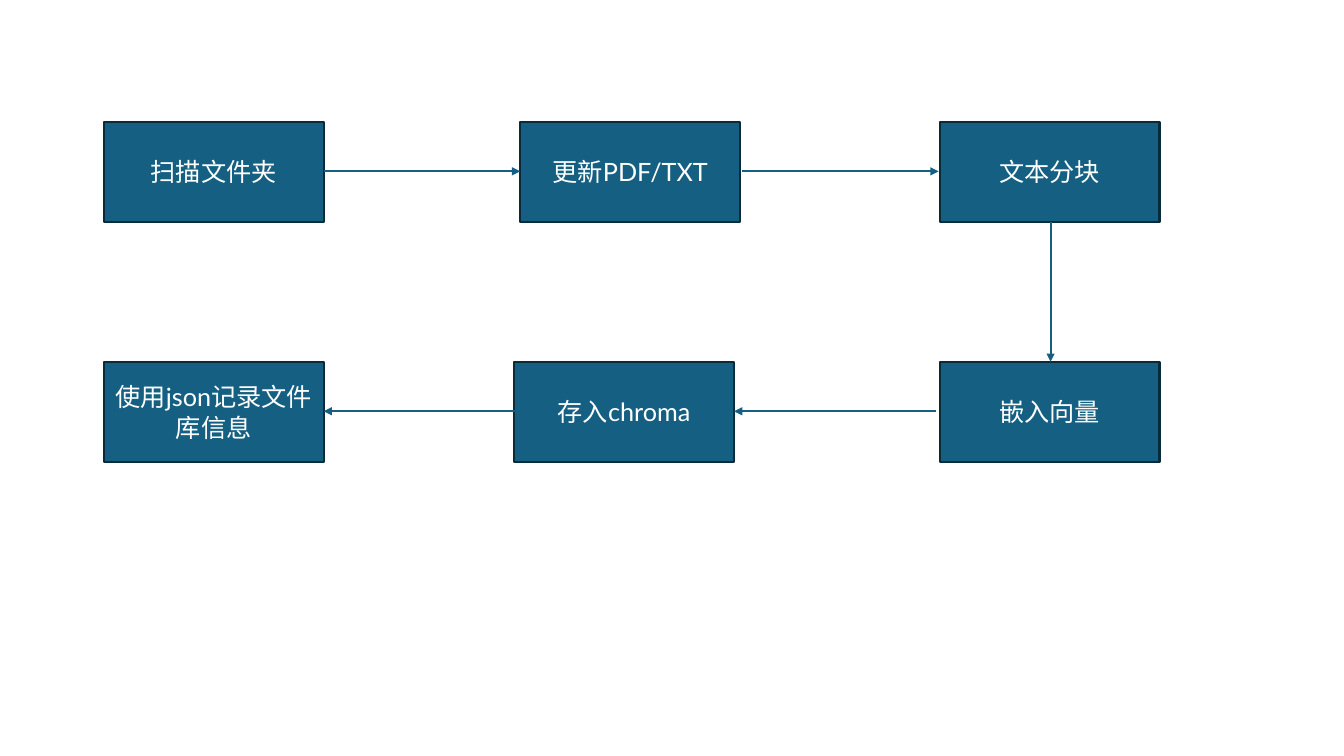
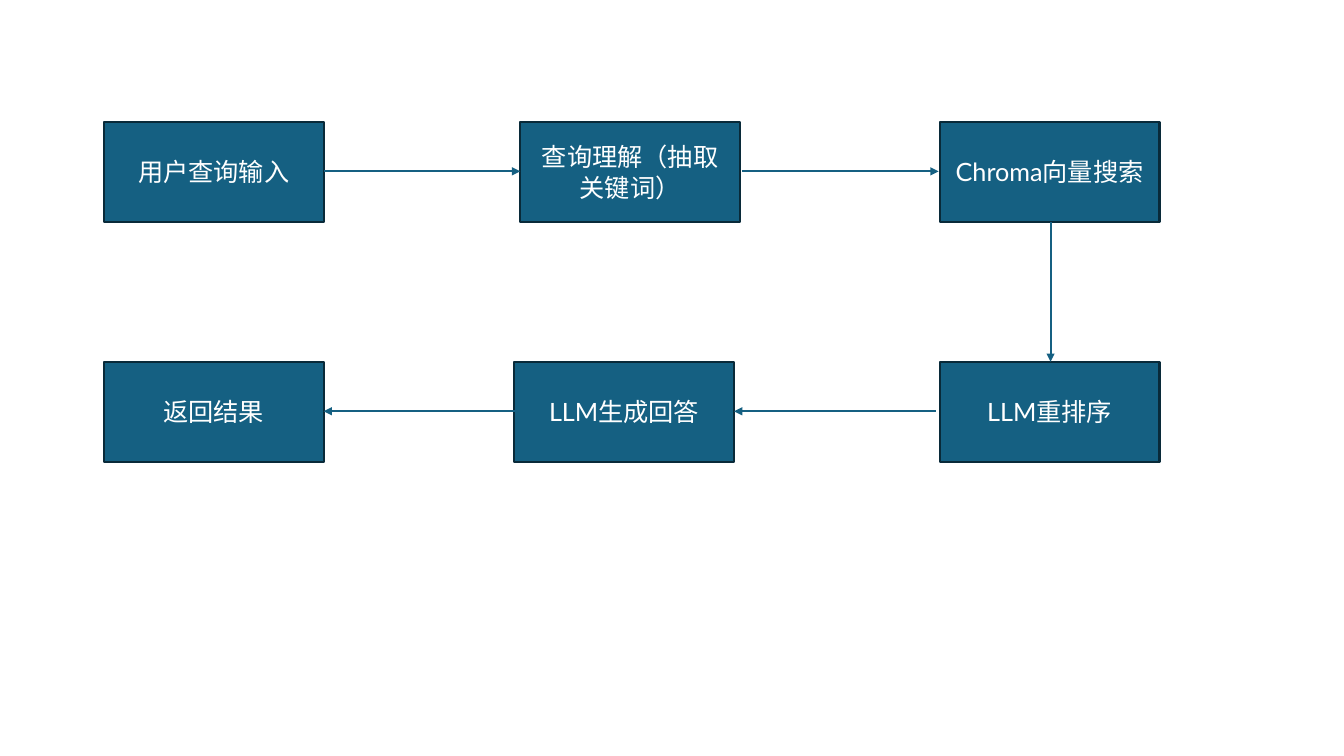
"""Build two flowchart slides: indexing documents and answering queries."""
from dataclasses import dataclass

from lxml.etree import SubElement
from pptx import Presentation
from pptx.dml.color import RGBColor
from pptx.enum.shapes import MSO_CONNECTOR as Connector, MSO_SHAPE as Shape
from pptx.enum.text import MSO_ANCHOR as Anchor, PP_ALIGN as Align
from pptx.oxml.ns import qn
from pptx.util import Emu, Pt

EMU_PER_PX = 9144
SLIDE_WIDTH, SLIDE_HEIGHT = 1333, 750
BOX_WIDTH, BOX_HEIGHT = 218, 99
TOP_ROW, BOTTOM_ROW = 121, 359
TOP_COLUMNS = (103, 516, 932)
BOTTOM_COLUMNS = (932, 510, 103)
TOP_MIDDLE, BOTTOM_MIDDLE = 170, 408
TURN_X = 1042

STEP_PLACES = [(left, TOP_ROW) for left in TOP_COLUMNS] + [
    (left, BOTTOM_ROW) for left in BOTTOM_COLUMNS
]
ARROWS = (
    (321, TOP_MIDDLE, 516, TOP_MIDDLE),
    (736, TOP_MIDDLE, 931, TOP_MIDDLE),
    (TURN_X, TOP_ROW + BOX_HEIGHT, TURN_X, BOTTOM_ROW),
    (928, BOTTOM_MIDDLE, 728, BOTTOM_MIDDLE),
    (521, BOTTOM_MIDDLE, 321, BOTTOM_MIDDLE),
)
FLOWS = (
    ("扫描文件夹", "更新PDF/TXT", "文本分块",
     "嵌入向量", "存入chroma", "使用json记录文件库信息"),
    ("用户查询输入", "查询理解（抽取关键词）", "Chroma向量搜索",
     "LLM重排序", "LLM生成回答", "返回结果"),
)


@dataclass(frozen=True)
class Theme:
    """Colours, font and sizes shared by the slides."""
    fill: RGBColor = RGBColor.from_string("156082")
    border: RGBColor = RGBColor.from_string("092A39")
    text: RGBColor = RGBColor.from_string("FFFFFF")
    font: str = "Lato"
    text_size: Pt = Pt(18)
    line_width: Pt = Pt(1.5)


THEME = Theme()


def px(length):
    """Turn whole pixels into EMU."""
    return Emu(length * EMU_PER_PX)


def add_step(page, label, left, top):
    """Add one labelled step box."""
    box = page.shapes.add_shape(
        Shape.RECTANGLE, px(left), px(top), px(BOX_WIDTH), px(BOX_HEIGHT))
    box.shadow.inherit = False
    box.fill.solid()
    box.fill.fore_color.rgb = THEME.fill
    box.line.color.rgb = THEME.border
    box.line.width = THEME.line_width
    frame = box.text_frame
    frame.word_wrap = True
    frame.vertical_anchor = Anchor.MIDDLE
    para = frame.paragraphs[0]
    para.alignment = Align.CENTER
    span = para.add_run()
    span.text = label
    span.font.name = THEME.font
    span.font.size = THEME.text_size
    span.font.color.rgb = THEME.text


def add_arrow(page, *ends):
    """Add a straight arrow pointing at its second end."""
    arrow = page.shapes.add_connector(Connector.STRAIGHT, *map(px, ends))
    arrow.line.color.rgb = THEME.fill
    arrow.line.width = THEME.line_width
    properties = arrow.element.spPr
    SubElement(properties.find(qn("a:ln")), qn("a:tailEnd"), type="triangle")
    SubElement(properties, qn("a:effectLst"))


def add_flow(deck, labels):
    """Add a slide whose steps run right, down and back left."""
    page = deck.slides.add_slide(deck.slide_layouts.get_by_name("Blank"))
    for label, (left, top) in zip(labels, STEP_PLACES):
        add_step(page, label, left, top)
    for ends in ARROWS:
        add_arrow(page, *ends)


def main():
    """Build and save the deck."""
    deck = Presentation()
    deck.slide_width, deck.slide_height = px(SLIDE_WIDTH), px(SLIDE_HEIGHT)
    for labels in FLOWS:
        add_flow(deck, labels)
    deck.save("out.pptx")


if __name__ == "__main__":
    main()
